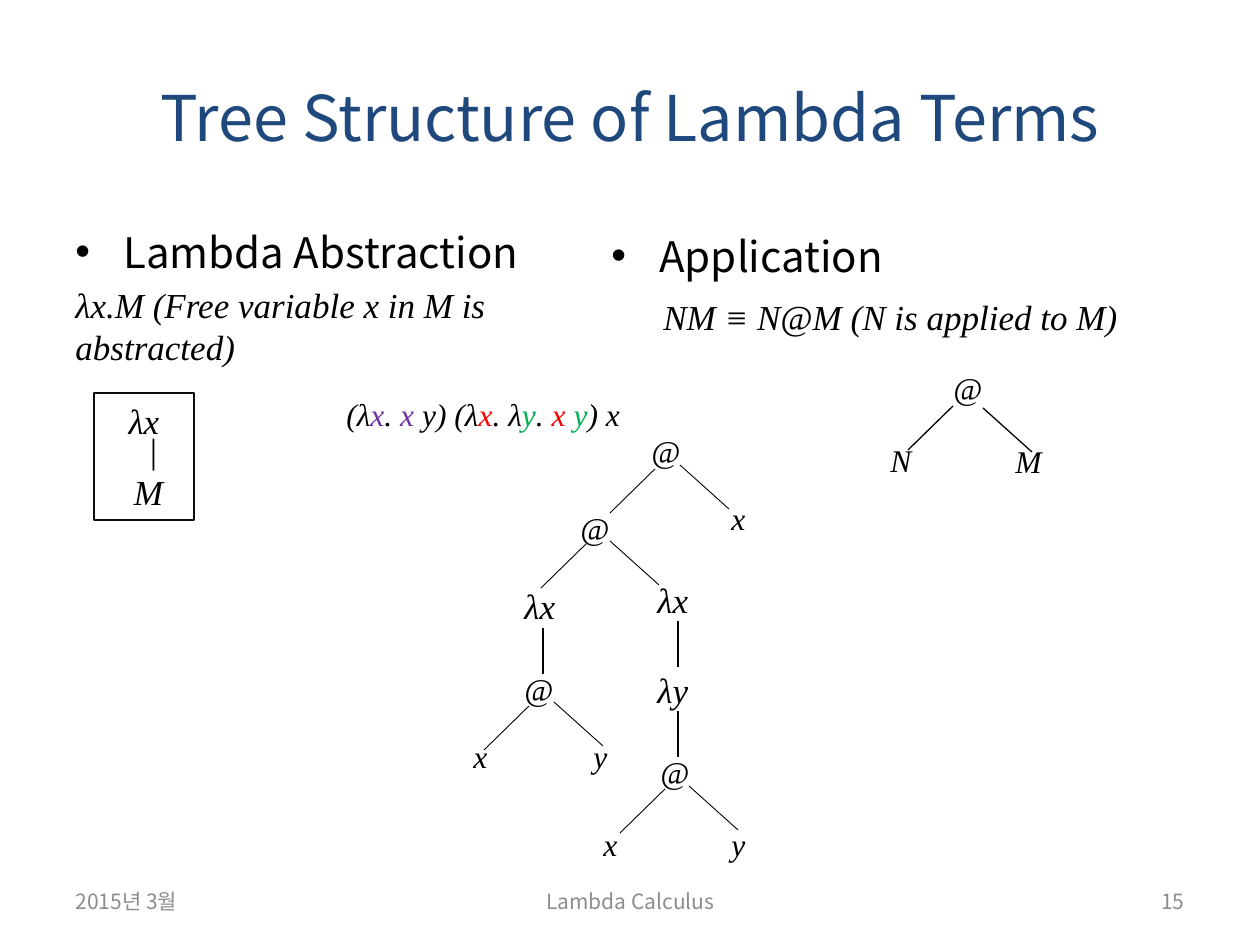
import pptx
import pptx.util
import pptx.dml.color
import pptx.enum.shapes
import pptx.enum.text
import pptx.oxml.ns
import lxml.etree

RGB = pptx.dml.color.RGBColor
ALIGN = pptx.enum.text.PP_ALIGN
ANCHOR = pptx.enum.text.MSO_ANCHOR
qn = pptx.oxml.ns.qn

BLACK = RGB(0, 0, 0)
NAVY = RGB(0x1F, 0x49, 0x7D)
GRAY = RGB(0x8C, 0x8C, 0x8C)
FRAME = RGB(0x0D, 0x0D, 0x0D)
PURPLE = RGB(0x70, 0x30, 0xA0)
RED = RGB(255, 0, 0)
GREEN = RGB(0, 0xB0, 0x50)
SANS, SERIF = "Noto Sans CJK KR", "Times New Roman"

TITLE = "Tree Structure of Lambda Terms"
# left, top, heading, formula, formula indent, space before formula
COLUMNS = [
    (63, 220, "Lambda Abstraction", "λx.M (Free variable x in M is abstracted)", 0, 4),
    (599, 224, "Application", "NM ≡ N@M (N is applied to M)", 52, 8.5),
]
FOOTERS = [
    (63, 294, "2015년 3월", ALIGN.LEFT),
    (431, 399, "Lambda Calculus", ALIGN.CENTER),
    (903, 294, "15", ALIGN.RIGHT),
]
FORMULA = [
    ("(λ", BLACK), ("x", PURPLE), (". ", BLACK), ("x", PURPLE), (" y) (λ", BLACK),
    ("x", RED), (". λ", BLACK), ("y", GREEN), (". ", BLACK), ("x ", RED),
    ("y", GREEN), (") x", BLACK),
]
# text, left indent, line spacing in points
ABSTRACTION = [("λx", 0, None), ("|", 18, 17), ("M", 9, None)]

# kind: width, height, text size
NODE_SIZES = {"apply": (59, 50, 18), "leaf": (69, 50, 18), "lambda": (94, 55, 20)}
NODES = [
    ("apply", "@", 941, 363), ("leaf", "N", 878, 435), ("leaf", "M", 1003, 436),
    ("apply", "@", 639, 426), ("leaf", "x", 719, 493),
    ("apply", "@", 568, 503),
    ("lambda", "λx", 512, 578), ("apply", "@", 512, 664),
    ("leaf", "x", 461, 731), ("leaf", "y", 581, 731),
    ("lambda", "λx", 645, 572), ("lambda", "λy", 645, 662), ("apply", "@", 648, 747),
    ("leaf", "x", 591, 819), ("leaf", "y", 719, 819),
]
# start of left branch, start of right branch, line width
FORKS = [
    ((953, 406), (983, 408), 0.75),
    ((655, 469), (680, 465), 0.5),
    ((586, 544), (610, 541), 0.5),
    ((529, 706), (554, 702), 0.5),
    ((665, 789), (689, 786), 0.5),
]
LEFT_BRANCH, RIGHT_BRANCH, STEM = (-45, 44), (49, 44), (0, 46)
STEMS = [(543, 628), (678, 621), (678, 711)]


def px(length):
    """Turn pixels into EMU."""
    return pptx.util.Emu(round(length * 914400 / 126))


def add_box(left, top, width, height, anchor=ANCHOR.TOP):
    """Add a wrapping text box and return its text frame."""
    frame = page.shapes.add_textbox(px(left), px(top), px(width), px(height)).text_frame
    frame.word_wrap = True
    frame.vertical_anchor = anchor
    return frame


def write(para, spans, size, face, align=ALIGN.LEFT):
    """Fill a paragraph with (text, colour) spans in one face and size."""
    para.alignment = align
    for text, color in spans:
        span = para.add_run()
        span.text = text
        span.font.size = pptx.util.Pt(size)
        span.font.name = face
        span.font.italic = face == SERIF
        span.font.color.rgb = color


def indent(para, left, first=0, bullet=None):
    """Set paragraph indents in pixels and an optional bullet."""
    props = para._p.get_or_add_pPr()
    props.set("marL", str(px(left)))
    props.set("indent", str(px(first)))
    if bullet:
        lxml.etree.SubElement(props, qn("a:buFont")).set("typeface", "Arial")
        lxml.etree.SubElement(props, qn("a:buChar")).set("char", bullet)


def add_edge(start, step, width):
    """Draw a straight tree edge from start along step."""
    x, y = start
    line = page.shapes.add_connector(
        pptx.enum.shapes.MSO_CONNECTOR.STRAIGHT,
        px(x), px(y), px(x + step[0]), px(y + step[1]))
    line.line.color.rgb = BLACK
    line.line.width = pptx.util.Pt(width)
    lxml.etree.SubElement(line._element.spPr, qn("a:effectLst"))


def add_column(left, top, heading, formula, formula_indent, gap):
    """Add a bulleted heading with its formula below."""
    frame = add_box(left, top, 537, 203)
    para = frame.paragraphs[0]
    para.space_before = pptx.util.Pt(5)
    indent(para, 48, -48, "•")
    write(para, [(heading, BLACK)], 24, SANS)
    para = frame.add_paragraph()
    para.space_before = pptx.util.Pt(gap)
    indent(para, formula_indent)
    write(para, [(formula, BLACK)], 20, SERIF)


def add_abstraction():
    """Add the framed abstraction tree."""
    box = page.shapes.add_shape(
        pptx.enum.shapes.MSO_SHAPE.RECTANGLE, px(94), px(393), px(100), px(127))
    box.shadow.inherit = False
    box.fill.background()
    box.line.color.rgb = FRAME
    box.line.width = pptx.util.Pt(0.75)
    frame = box.text_frame
    frame.vertical_anchor = ANCHOR.TOP
    for index, (text, left, spacing) in enumerate(ABSTRACTION):
        para = frame.add_paragraph() if index else frame.paragraphs[0]
        indent(para, left)
        if spacing:
            para.line_spacing = pptx.util.Pt(spacing)
        write(para, [(text, BLACK)], 20, SERIF, ALIGN.CENTER)


deck = pptx.Presentation()
deck.slide_width, deck.slide_height = px(1260), px(945)
page = deck.slides.add_slide(deck.slide_layouts[6])

title = add_box(63, 38, 1134, 157, ANCHOR.MIDDLE)
write(title.paragraphs[0], [(TITLE, NAVY)], 36, SANS, ALIGN.CENTER)
for column in COLUMNS:
    add_column(*column)
for left, width, text, align in FOOTERS:
    footer = add_box(left, 876, width, 50, ANCHOR.MIDDLE)
    write(footer.paragraphs[0], [(text, GRAY)], 12, SANS, align)
add_abstraction()
write(add_box(334, 389, 318, 50).paragraphs[0], FORMULA, 18, SERIF)

for left_start, right_start, width in FORKS:
    add_edge(left_start, LEFT_BRANCH, width)
    add_edge(right_start, RIGHT_BRANCH, width)
for start in STEMS:
    add_edge(start, STEM, 0.75)
for kind, text, left, top in NODES:
    width, height, size = NODE_SIZES[kind]
    write(add_box(left, top, width, height).paragraphs[0], [(text, BLACK)], size, SERIF)

deck.save("out.pptx")
